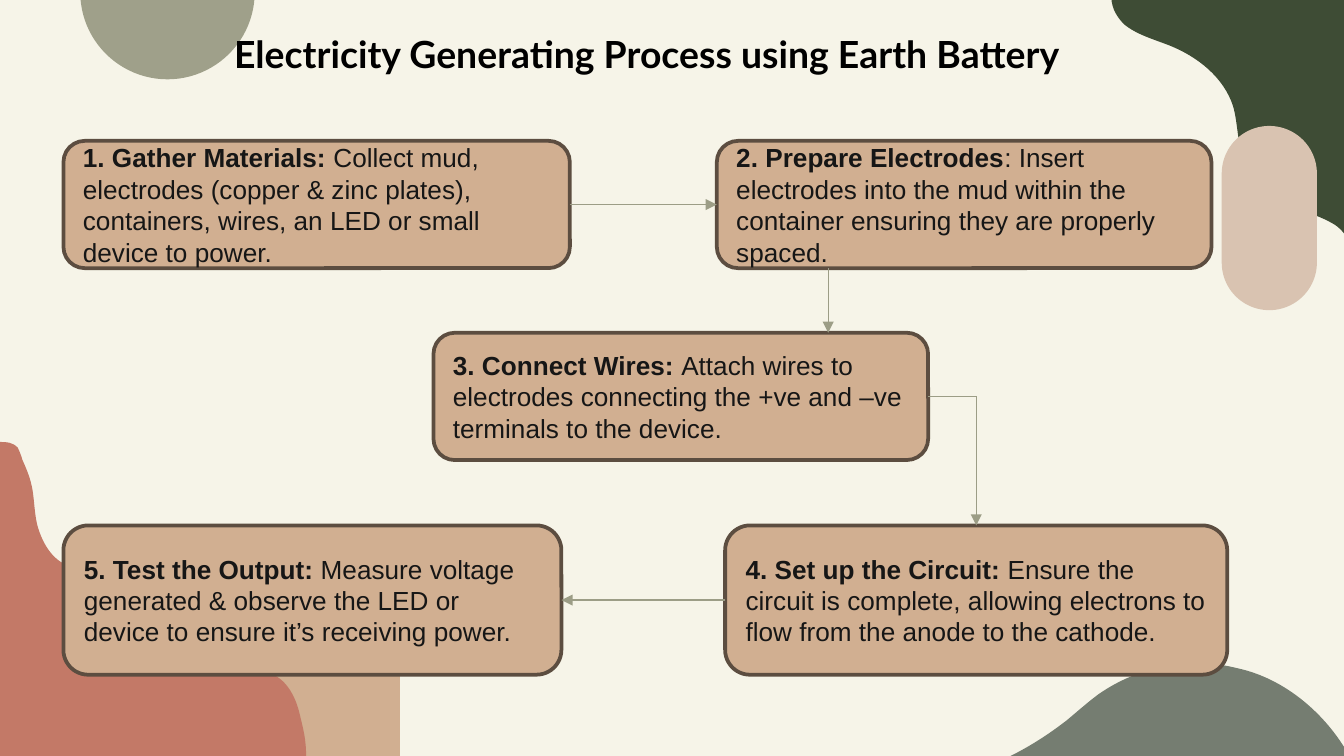
from lxml import etree
from pptx import Presentation
from pptx import util as u
from pptx.dml.color import RGBColor
from pptx.enum import shapes, text
from pptx.oxml.ns import qn

Pt = u.Pt
MSO = shapes.MSO_SHAPE
TAN, BROWN, INK, SAGE = "D1AF91", "5C4D40", "161616", "9C9D86"

# Each outline is a start point, then segments: 2 numbers a line, 6 a Bézier curve
GREEN_CORNER = [
    (0, 0), (-1, 6, 2, 12, 6.5, 16.5), (13, 22, 22, 24.5, 31, 28),
    (46, 34, 60, 45, 65, 60.5), (68, 71, 67, 84, 73, 94),
    (78.5, 106, 91.5, 112, 103.5, 117), (109.5, 119, 114.5, 121, 119.5, 124),
    (124, 127, 127.5, 132, 127.5, 137), (127.5, 0)]
RED_SLOPE = [
    (0, 0), (0, 168.5), (164, 168.5), (164, 159, 162.5, 154, 160.5, 145.5),
    (158.5, 137, 154, 128, 146, 124.5), (142, 123, 138, 122.5, 134, 122.5),
    (128, 122.5), (116.5, 122.5, 104.5, 119, 97, 110),
    (91.5, 102, 90, 91.5, 87, 82), (84, 72.5, 77.5, 62, 67.5, 61),
    (58, 61, 50.5, 67, 42, 67), (30, 67, 23, 55.5, 20, 44.5),
    (18.5, 38, 18.5, 32.5, 17.5, 26), (16.5, 20, 14.5, 15, 12, 9.5),
    (11.5, 7.5, 10.5, 5, 9.5, 3), (6.5, 0, 3.5, 0, 0, 0)]
GRAY_HILL = [
    (181.5, 50), (169, 27.5, 147, 8.5, 121.5, 3), (96, -3.5, 68.5, 2, 47, 17),
    (41, 21.5, 36, 26, 30, 31), (21, 38, 11, 44.5, 0, 50)]

STEPS = [
    ((34, 75.5, 271.3, 68.2), "1. Gather Materials: ",
     "Collect mud, electrodes (copper & zinc plates), containers, wires, "
     "an LED or small device to power."),
    ((384, 75.5, 265, 68.2), "2. Prepare Electrodes",
     ": Insert electrodes into the mud within the container ensuring they "
     "are properly spaced."),
    ((232.2, 178.3, 265, 68.2), "3. Connect Wires: ",
     "Attach wires to electrodes connecting the +ve and –ve terminals to "
     "the device."),
    ((388.5, 281.5, 269, 80), "4. Set up the Circuit: ",
     "Ensure the circuit is complete, allowing electrons to flow from the "
     "anode to the cathode."),
    ((34, 281.5, 266.8, 80), "5. Test the Output: ",
     "Measure voltage generated & observe the LED or device to ensure it’s "
     "receiving power."),
]


def rgb(value):
    return RGBColor.from_string(value)


def paint(sp, fill, line=None, width=2):
    sp.shadow.inherit = False
    sp.fill.solid()
    sp.fill.fore_color.rgb = rgb(fill)
    if line:
        sp.line.color.rgb = rgb(line)
        sp.line.width = Pt(width)
    else:
        sp.line.fill.background()


def add_run(p, words, size=14, font="Arial", color=INK, bold=False):
    r = p.add_run()
    r.text = words
    r.font.size, r.font.name, r.font.bold = Pt(size), font, bold
    r.font.color.rgb = rgb(color)


def preset(s, kind, box, fill, adj=(), line=None):
    sp = s.shapes.add_shape(kind, *map(Pt, box))
    for i, value in enumerate(adj):
        sp.adjustments[i] = value
    paint(sp, fill, line)
    return sp


def blob(s, left, top, outline, fill):
    points = [(Pt(left + x), Pt(top + y))
              for seg in outline for x, y in zip(seg[::2], seg[1::2])]
    builder = s.shapes.build_freeform(*points[0])
    builder.add_line_segments(points[1:], close=True)
    sp = builder.convert_to_shape()
    # Join each three points of a curve into one Bézier segment
    lines = iter(list(sp._element.iter(qn("a:lnTo"))))
    for seg in outline[1:]:
        first = next(lines)
        if len(seg) == 6:
            first.tag = qn("a:cubicBezTo")
            for _ in range(2):
                extra = next(lines)
                first.append(extra[0])
                extra.getparent().remove(extra)
    paint(sp, fill)


def backdrop(s, width, height):
    s.background.fill.solid()
    s.background.fill.fore_color.rgb = rgb("F6F4E8")
    blob(s, width - 124.4, -3.6, GREEN_CORNER, "3E4C35")
    preset(s, MSO.ROUND_2_SAME_RECTANGLE, (114.3, height - 100, 100, 100), TAN, (0.5, 0))
    preset(s, MSO.OVAL, (43, -51, 93.5, 93.5), "9FA08A")
    preset(s, MSO.ROUNDED_RECTANGLE, (654.5, 67.5, 51, 98.7), "D9C3B1", (0.5,))
    blob(s, 0, height - 168.2, RED_SLOPE, "C37967")
    blob(s, width - 178.6, height - 50, GRAY_HILL, "757D71")


def title(s, box, words):
    tf = s.shapes.add_textbox(*map(Pt, box)).text_frame
    tf.word_wrap = True
    tf.auto_size = text.MSO_AUTO_SIZE.SHAPE_TO_FIT_TEXT
    add_run(tf.paragraphs[0], words, size=20, font="Lato", color="000000", bold=True)


def step(s, box, heading, body):
    tf = preset(s, MSO.ROUNDED_RECTANGLE, box, TAN, line=BROWN).text_frame
    tf.word_wrap = True
    tf.vertical_anchor = text.MSO_ANCHOR.MIDDLE
    p = tf.paragraphs[0]
    p.alignment = text.PP_ALIGN.LEFT
    add_run(p, heading, bold=True)
    add_run(p, body)


def link(s, start, end, arrow=True):
    cx = s.shapes.add_connector(shapes.MSO_CONNECTOR.STRAIGHT,
                                *map(Pt, (*start, *end)))
    cx.line.color.rgb = rgb(SAGE)
    cx.line.width = Pt(0.75)
    if arrow:
        etree.SubElement(cx.line._get_or_add_ln(), qn("a:tailEnd"), type="triangle")
    etree.SubElement(cx._element.spPr, qn("a:effectLst"))


def flow_links(s, boxes):
    gather, prepare, wires, circuit, test = boxes

    def side(box, right):
        x, y, w, h = box
        return x + w * right, y + h / 2

    link(s, side(gather, 1), side(prepare, 0))
    # Down from step 2 to step 3
    drop = 443.7
    link(s, (drop, prepare[1] + prepare[3]), (drop, wires[1]))
    # Right from step 3, then down to step 4
    corner = (circuit[0] + circuit[2] / 2, side(wires, 1)[1])
    link(s, side(wires, 1), corner, arrow=False)
    link(s, corner, (corner[0], circuit[1]))
    link(s, side(circuit, 0), side(test, 1))


def main():
    prs = Presentation()
    prs.slide_width, prs.slide_height = Pt(720), Pt(405)
    s = prs.slides.add_slide(prs.slide_layouts[6])
    backdrop(s, 720, 405)
    for box, heading, body in STEPS:
        step(s, box, heading, body)
    flow_links(s, [box for box, _, _ in STEPS])
    title(s, (118.3, 13.3, 508, 31.5),
          "Electricity Generating Process using Earth Battery")
    prs.save("out.pptx")


if __name__ == "__main__":
    main()
